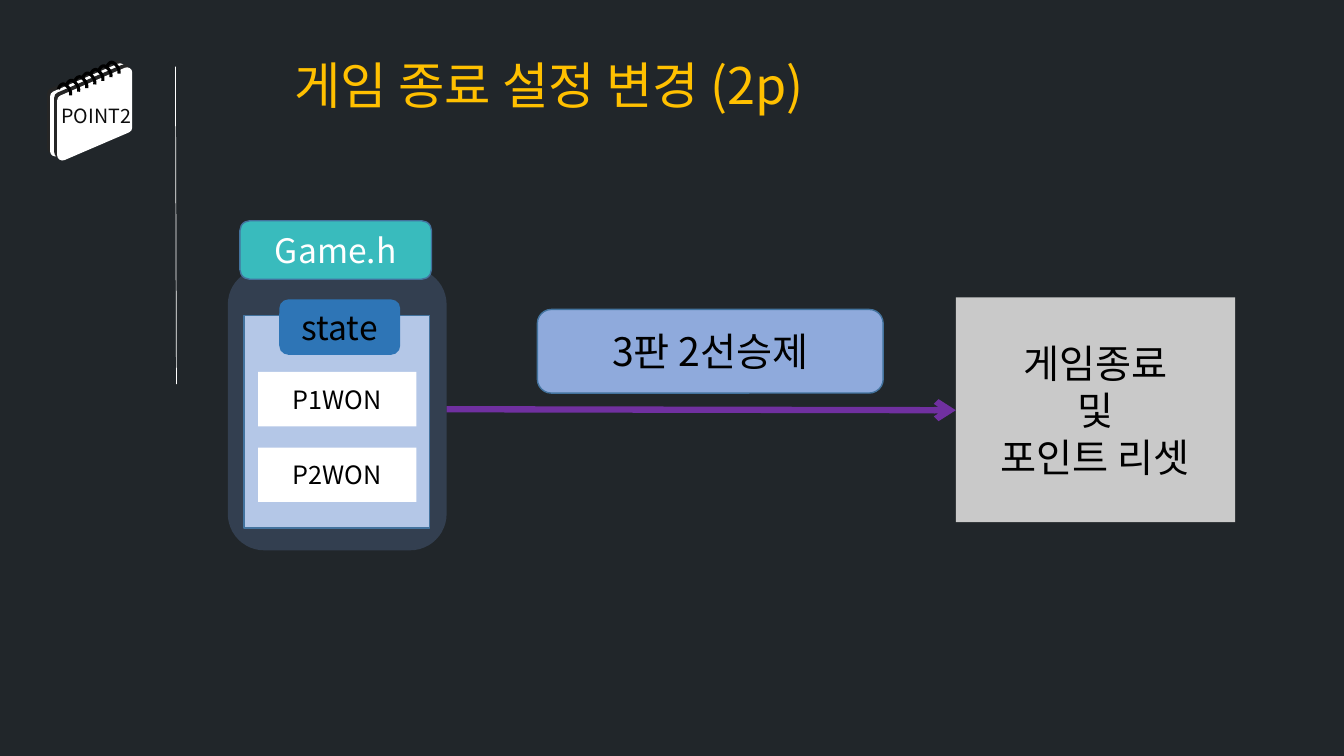
from dataclasses import dataclass

import pptx
import pptx.util
from lxml import etree
from pptx.dml.color import RGBColor
from pptx.enum.shapes import MSO_CONNECTOR, MSO_SHAPE
from pptx.enum.text import MSO_ANCHOR, MSO_AUTO_SIZE, PP_ALIGN
from pptx.oxml.ns import qn
from pptx.util import Inches, Pt


@dataclass(frozen=True)
class Theme:
    background: str = "21262A"
    title: str = "FFC000"
    ink: str = "000000"
    soft_ink: str = "0D0D0D"
    paper: str = "FFFFFF"
    shadow: str = "262626"
    file_panel: str = "333F50"
    file_tab: str = "39BBBD"
    state_panel: str = "B4C7E7"
    state_tab: str = "2E75B6"
    rule: str = "8FAADC"
    result: str = "C9C9C9"
    outline: str = "43739E"
    arrow: str = "7030A0"
    font: str = "Noto Sans CJK KR"
    badge_font: str = "Noto Sans CJK SC"
    title_size: int = 36
    large_size: int = 28
    tab_size: int = 24
    item_size: int = 18
    badge_size: int = 14


THEME = Theme()
RING_COUNT = 7
RING_STEP = (-0.08, 0.036)
RING_CURVES = (
    ((0, 0.06), (0.01, 0.02), (0.04, 0), (0.06, 0.01)),
    ((0.06, 0.01), (0.08, 0.02), (0.13, 0.06), (0.12, 0.12)),
)


def color(value):
    return RGBColor.from_string(value)


def add_run(paragraph, text, size, ink, font=THEME.font):
    run = paragraph.add_run()
    run.text = text
    run.font.size = Pt(size)
    run.font.name = font
    run.font.color.rgb = color(ink)
    east_asian = etree.SubElement(run.font._element, qn("a:ea"))
    east_asian.set("typeface", font)


def set_line(line, ink, width):
    line.color.rgb = color(ink)
    line.width = Pt(width)


def add_box(shapes, kind, box, fill, outline=None, width=1):
    shape = shapes.add_shape(kind, *map(Inches, box))
    shape.shadow.inherit = False
    shape.fill.solid()
    shape.fill.fore_color.rgb = color(fill)
    if outline:
        set_line(shape.line, outline, width)
    else:
        shape.line.fill.background()
    return shape


def add_label(shape, lines, size, ink=THEME.ink):
    frame = shape.text_frame
    frame.word_wrap = True
    frame.vertical_anchor = MSO_ANCHOR.MIDDLE
    for index, text in enumerate(lines):
        paragraph = frame.add_paragraph() if index else frame.paragraphs[0]
        paragraph.alignment = PP_ALIGN.CENTER
        add_run(paragraph, text, size, ink)


def add_line(slide, start, end, ink, width):
    connector = slide.shapes.add_connector(
        MSO_CONNECTOR.STRAIGHT, *map(Inches, (*start, *end)))
    set_line(connector.line, ink, width)
    etree.SubElement(connector._element.spPr, qn("a:effectLst"))
    return connector


def add_title(slide, box):
    title = slide.shapes.title
    title.left, title.top, title.width, title.height = map(Inches, box)
    frame = title.text_frame
    frame.word_wrap = True
    frame.auto_size = MSO_AUTO_SIZE.SHAPE_TO_FIT_TEXT
    frame.vertical_anchor = MSO_ANCHOR.TOP
    paragraph = frame.paragraphs[0]
    paragraph.alignment = PP_ALIGN.LEFT
    add_run(paragraph, "게임 종료 설정 변경 (2p)", THEME.title_size, THEME.title)


def add_page(shapes, left, top):
    page = add_box(shapes, MSO_SHAPE.PARALLELOGRAM, (left, top, 0.82, 0.64),
                   THEME.paper, THEME.paper, 7.5)
    page.adjustments[0] = 0.43
    page.rotation = 90
    properties = page._element.spPr
    properties.find(qn("a:xfrm")).set("flipH", "1")
    etree.SubElement(page.line._ln, qn("a:round"))
    shadow = etree.SubElement(
        properties.find(qn("a:effectLst")), qn("a:outerShdw"),
        dist=str(Pt(3)), dir=str(225 * 60000), algn="br", rotWithShape="0")
    etree.SubElement(shadow, qn("a:srgbClr"), val=THEME.shadow)


def curve_points(curve, steps=8):
    """Sample a cubic curve, leaving out its first point."""
    for step in range(1, steps + 1):
        t = step / steps
        weights = ((1 - t) ** 3, 3 * t * (1 - t) ** 2, 3 * t * t * (1 - t), t ** 3)
        yield tuple(sum(weight * point[axis] for weight, point in zip(weights, curve))
                    for axis in (0, 1))


def add_ring(shapes, left, top):
    def place(point):
        return Inches(left + point[0]), Inches(top + point[1])

    builder = shapes.build_freeform(*place(RING_CURVES[0][0]))
    builder.add_line_segments(
        [place(point) for curve in RING_CURVES for point in curve_points(curve)],
        close=False)
    ring = builder.convert_to_shape()
    ring.shadow.inherit = False
    ring.fill.background()
    set_line(ring.line, THEME.ink, 2.25)


def add_notebook(slide, left, top):
    shapes = slide.shapes.add_group_shape().shapes
    add_page(shapes, left, top + 0.16)
    add_page(shapes, left + 0.07, top + 0.2)
    for index in range(RING_COUNT):
        add_ring(shapes, left + 0.6 + index * RING_STEP[0], top + index * RING_STEP[1])
    badge = slide.shapes.add_textbox(
        *map(Inches, (left + 0.03, top + 0.37, 0.93, 0.34)))
    badge.text_frame.word_wrap = False
    badge.text_frame.auto_size = MSO_AUTO_SIZE.SHAPE_TO_FIT_TEXT
    paragraph = badge.text_frame.paragraphs[0]
    paragraph.alignment = PP_ALIGN.CENTER
    add_run(paragraph, "POINT2", THEME.badge_size, THEME.soft_ink, THEME.badge_font)


def add_game_file(slide, left, top):
    """Place the header file panel with its state values."""
    shapes = slide.shapes
    rounded, square = MSO_SHAPE.ROUNDED_RECTANGLE, MSO_SHAPE.RECTANGLE
    add_box(shapes, rounded, (left, top, 2.17, 2.8), THEME.file_panel)
    file_tab = add_box(shapes, rounded, (left + 0.12, top - 0.47, 1.9, 0.58),
                       THEME.file_tab, THEME.outline)
    add_label(file_tab, ["Game.h"], THEME.tab_size, THEME.paper)
    add_box(shapes, square, (left + 0.16, top + 0.47, 1.84, 2.11),
            THEME.state_panel, THEME.outline)
    for index, state in enumerate(("P1WON", "P2WON")):
        item = add_box(shapes, square,
                       (left + 0.3, top + 1.03 + 0.75 * index, 1.57, 0.54), THEME.paper)
        add_label(item, [state], THEME.item_size)
    state_tab = add_box(shapes, rounded, (left + 0.51, top + 0.31, 1.2, 0.55),
                        THEME.state_tab)
    add_label(state_tab, ["state"], THEME.tab_size)


def add_outcome(slide, left, top, width):
    """Place the match rule, the arrow below it and the result it leads to."""
    rule = add_box(slide.shapes, MSO_SHAPE.ROUNDED_RECTANGLE,
                   (left + 0.9, top + 0.12, 3.43, 0.83), THEME.rule, THEME.outline)
    add_label(rule, ["3판 2선승제"], THEME.large_size)
    result_left = left + width - 2.77
    result = add_box(slide.shapes, MSO_SHAPE.RECTANGLE,
                     (result_left, top, 2.77, 2.23), THEME.result)
    add_label(result, ["게임종료", "및", "포인트 리셋"], THEME.large_size)
    arrow = add_line(slide, (left, top + 1.11), (result_left, top + 1.12),
                     THEME.arrow, 4.5)
    etree.SubElement(arrow.line._ln, qn("a:tailEnd"), type="arrow")


def build_slide(presentation):
    slide = presentation.slides.add_slide(presentation.slide_layouts[5])
    slide.background.fill.solid()
    slide.background.fill.fore_color.rgb = color(THEME.background)
    add_title(slide, (2.82, 0.49, 9.13, 0.71))
    add_line(slide, (1.74, 0.66), (1.75, 3.81), THEME.paper, 0.5)
    add_notebook(slide, 0.46, 0.61)
    add_game_file(slide, 2.26, 2.66)
    add_outcome(slide, 4.43, 2.95, 7.82)


def main():
    presentation = pptx.Presentation()
    presentation.slide_width = Inches(13.33)
    presentation.slide_height = Inches(7.5)
    build_slide(presentation)
    presentation.save("out.pptx")


if __name__ == "__main__":
    main()
